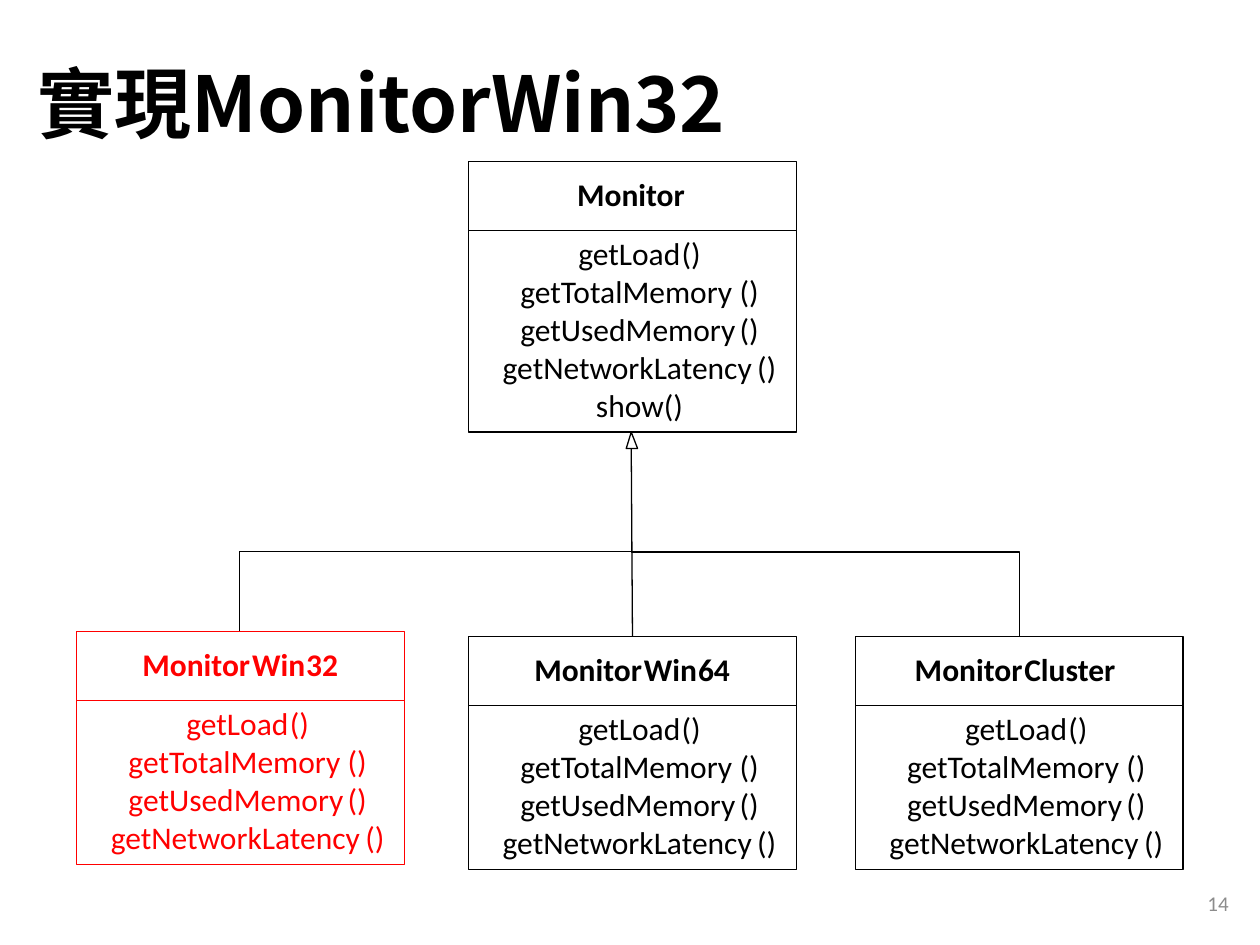
from lxml import etree
from pptx import Presentation, util as u
from pptx.dml.color import RGBColor
from pptx.enum import shapes as es, text as et
from pptx.oxml.ns import qn

BLACK, RED, WHITE, GREY = "000000", "FF0000", "FFFFFF", "8C8C8C"
HEAD = 0.55   # height of a class heading
STEP = 0.303  # distance between methods
WIDE = 2.6    # width of a class

# Method: name offset, name width, bracket offset
METHODS = {
    "getLoad": (0.87, 1.0, 1.69),
    "getTotalMemory": (0.41, 1.94, 2.15),
    "getUsedMemory": (0.41, 1.94, 2.15),
    "getNetworkLatency": (0.27, 2.24, 2.29),
    "show": (1.01, 0.71, 1.55),
}


def color(code):
    return RGBColor.from_string(code)


def style(par, size, code, bold=False, face="Calibri"):
    font = par.font
    font.size, font.bold, font.name = u.Pt(size), bold, face
    font.color.rgb = color(code)


def stroke(item, code):
    item.line.color.rgb = color(code)
    item.line.width = u.Pt(0.75)


def label(slide, words, x, y, w, code, bold=False):
    box = slide.shapes.add_textbox(*map(u.Inches, (x, y, w, 0.4)))
    frame = box.text_frame
    frame.margin_left = frame.margin_right = 0
    frame.margin_top = frame.margin_bottom = 0
    frame.word_wrap = False
    frame.auto_size = et.MSO_AUTO_SIZE.SHAPE_TO_FIT_TEXT
    frame.text = words
    style(frame.paragraphs[0], 18, code, bold)


def panel(slide, x, y, h, code):
    rect = slide.shapes.add_shape(es.MSO_SHAPE.RECTANGLE,
                                  *map(u.Inches, (x, y, WIDE, h)))
    rect.shadow.inherit = False
    rect.fill.solid()
    rect.fill.fore_color.rgb = color(WHITE)
    stroke(rect, code)
    return rect


def add_class(slide, x, y, name, methods, code=BLACK):
    """Draw a class and return its heading and body panels."""
    body = panel(slide, x, y + HEAD, 0.1 + 0.3 * len(methods), code)
    head = panel(slide, x, y, HEAD, code)
    for part, dx, w in name:
        label(slide, part, x + dx, y + 0.11, w, code, True)
    for row, method in enumerate(methods):
        dx, w, end = METHODS[method]
        top = y + 0.575 + row * STEP
        label(slide, method, x + dx, top, w, code)
        label(slide, "()", x + end, top, 0.3, code)
    return head, body


def outline(slide, points, close=False):
    points = [(u.Inches(x), u.Inches(y)) for x, y in points]
    build = slide.shapes.build_freeform(*points[0])
    build.add_line_segments(points[1:], close=close)
    item = build.convert_to_shape()
    item.shadow.inherit = False
    item.fill.background()
    stroke(item, BLACK)


def stem(slide, head, x, y):
    line = slide.shapes.add_connector(es.MSO_CONNECTOR.STRAIGHT,
                                      head.left + head.width // 2, head.top,
                                      u.Inches(x), u.Inches(y))
    line.begin_connect(head, 0)
    stroke(line, BLACK)
    etree.SubElement(line._element.spPr, qn("a:effectLst"))


def add_title(slide, words):
    title = slide.shapes.title
    title.left, title.top, title.width, title.height = map(
        u.Inches, (0.2, 0.13, 8.62, 1.45))
    frame = title.text_frame
    frame.text = words
    frame.auto_size = et.MSO_AUTO_SIZE.NONE
    frame.vertical_anchor = et.MSO_ANCHOR.MIDDLE
    par = frame.paragraphs[0]
    par.alignment, par.line_spacing = et.PP_ALIGN.LEFT, 0.9
    face = "Noto Sans CJK SC"
    style(par, 44, BLACK, True, face)
    # East Asian glyphs need their own typeface
    run = par.runs[0]
    run.font.name = face
    east = etree.SubElement(run.font._element, qn("a:ea"))
    east.set("typeface", face)


def add_number(slide, words):
    box = slide.shapes.add_textbox(*map(u.Inches, (7.6, 6.97, 2.25, 0.4)))
    frame = box.text_frame
    frame.word_wrap = True
    frame.vertical_anchor = et.MSO_ANCHOR.MIDDLE
    frame.text = words
    par = frame.paragraphs[0]
    par.alignment = et.PP_ALIGN.RIGHT
    style(par, 12, GREY)


def main():
    deck = Presentation()
    deck.slide_width, deck.slide_height = u.Inches(10), u.Inches(7.5)
    slide = deck.slides.add_slide(deck.slide_layouts[5])
    add_title(slide, "實現MonitorWin32")
    add_number(slide, "14")

    # Base class and its three subclasses
    every = list(METHODS)
    shared = every[:-1]
    add_class(slide, 3.72, 1.28, [("Monitor", 0.86, 1.05)], every)
    first = [("Monitor", 0.52, 1.05), ("Win", 1.39, 0.58)]
    add_class(slide, 0.61, 5.01, first + [("32", 1.82, 0.4)], shared, RED)
    mid, _ = add_class(slide, 3.72, 5.05, first + [("64", 1.82, 0.4)], shared)
    add_class(slide, 6.79, 5.05,
              [("Monitor", 0.47, 1.05), ("Cluster", 1.34, 0.96)], shared)

    # Inheritance lines meet below a hollow arrowhead
    hub, neck, bend = 5.01, 3.56, 4.38
    for x, y in ((1.9, 5.01), (8.09, 5.05)):
        outline(slide, [(x, y), (x, bend), (hub, bend), (hub, neck)])
    stem(slide, mid, hub, neck)
    outline(slide, [(5.06, neck), (hub, 3.43), (4.97, neck)], close=True)
    deck.save("out.pptx")


if __name__ == "__main__":
    main()
